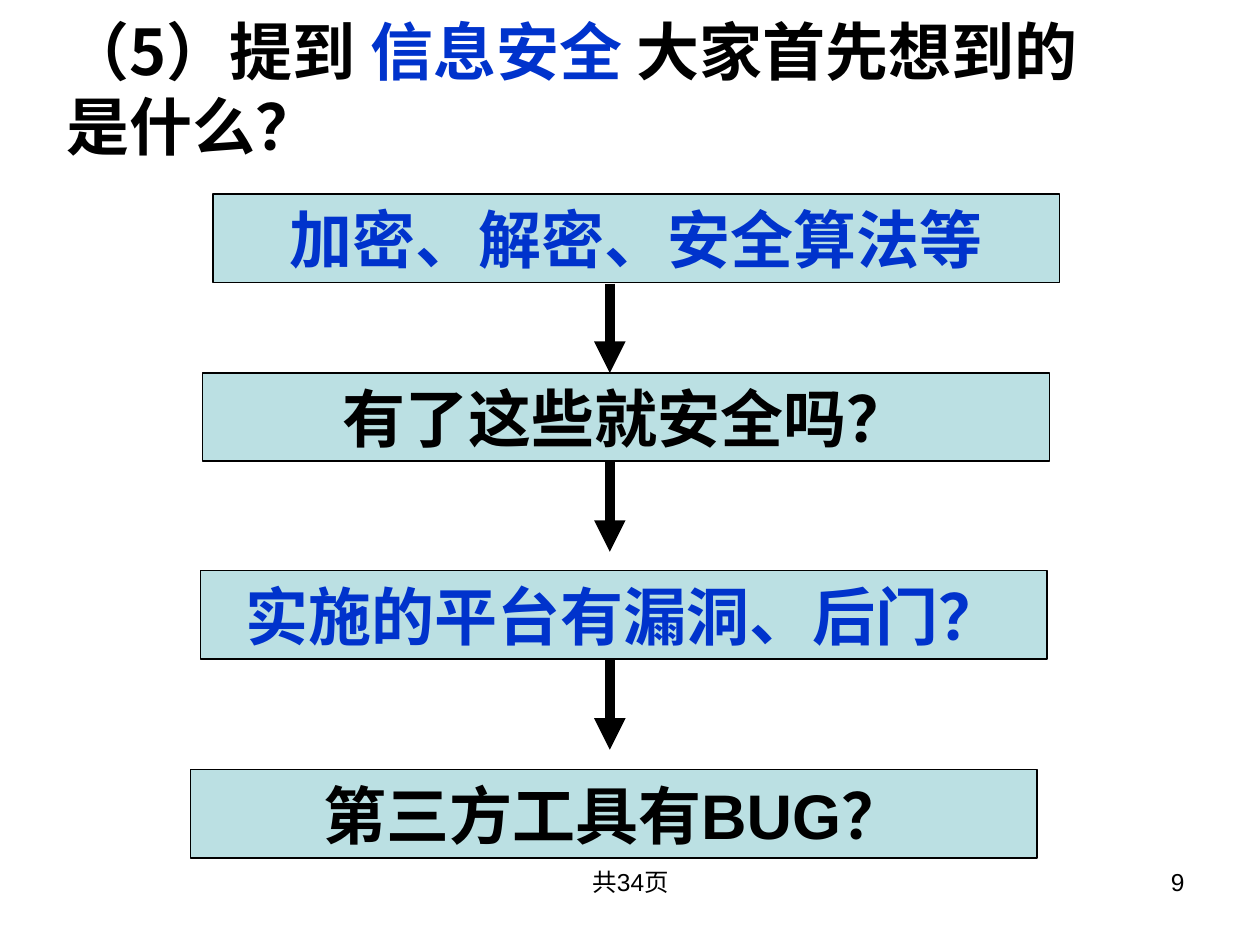
from lxml.etree import SubElement
from pptx import Presentation
from pptx.dml.color import RGBColor
from pptx.enum.shapes import MSO_CONNECTOR, MSO_SHAPE
from pptx.enum.text import MSO_ANCHOR, MSO_AUTO_SIZE, PP_ALIGN
from pptx.oxml.ns import qn
from pptx.util import Inches, Pt

BLACK = RGBColor(0x00, 0x00, 0x00)
BLUE = RGBColor(0x00, 0x33, 0xCC)
PALE_TEAL = RGBColor(0xBB, 0xE0, 0xE3)
LATIN_FONT = "Arial"
CHINESE_FONT = "Noto Sans CJK SC"

TITLE_PARTS = [("（5）提到 ", BLACK), ("信息安全 ", BLUE), ("大家首先想到的是什么？", BLACK)]
STEPS = [
    ("加密、解密、安全算法等", BLUE, 1.69, 1.54),
    ("有了这些就安全吗？", BLACK, 1.61, 2.96),
    ("实施的平台有漏洞、后门？", BLUE, 1.59, 4.53),
    ("第三方工具有BUG？", BLACK, 1.51, 6.11),
]
STEP_WIDTH, STEP_HEIGHT = 6.72, 0.7
ARROW_X, ARROW_LENGTH = 4.84, 0.71


def add_span(para, text, color, **formats):
    span = para.add_run()
    span.text = text
    settings = {"name": LATIN_FONT, "size": Pt(36), "bold": True} | formats
    for name, value in settings.items():
        setattr(span.font, name, value)
    span.font.color.rgb = color
    SubElement(span.font._element, qn("a:ea")).set("typeface", CHINESE_FONT)


def set_frame(frame, anchor):
    settings = {"word_wrap": True, "auto_size": MSO_AUTO_SIZE.NONE, "vertical_anchor": anchor}
    for name, value in settings.items():
        setattr(frame, name, value)
    return frame.paragraphs[0]


def add_title(page, left, top, width, height):
    title = page.shapes.title
    bounds = {"left": left, "top": top, "width": width, "height": height}
    for name, value in bounds.items():
        setattr(title, name, Inches(value))
    para = set_frame(title.text_frame, MSO_ANCHOR.MIDDLE)
    para.alignment = PP_ALIGN.LEFT
    para.line_spacing = Pt(43)
    for text, color in TITLE_PARTS:
        add_span(para, text, color, name=CHINESE_FONT)


def add_step(page, text, color, left, top, width, height):
    box = page.shapes.add_shape(
        MSO_SHAPE.RECTANGLE, Inches(left), Inches(top), Inches(width), Inches(height))
    box.shadow.inherit = False
    box.fill.solid()
    box.fill.fore_color.rgb = PALE_TEAL
    box.line.color.rgb = BLACK
    box.line.width = Pt(0.75)
    para = set_frame(box.text_frame, MSO_ANCHOR.MIDDLE)
    para.alignment = PP_ALIGN.CENTER
    add_span(para, text, color)


def add_down_arrow(page, x, top, length):
    arrow = page.shapes.add_connector(
        MSO_CONNECTOR.STRAIGHT, Inches(x), Inches(top), Inches(x), Inches(top + length))
    arrow.line.color.rgb = BLACK
    arrow.line.width = Pt(6)
    SubElement(arrow.line._get_or_add_ln(), qn("a:tailEnd")).set("type", "triangle")
    SubElement(arrow._element.spPr, qn("a:effectLst"))


def add_flow(page):
    for text, color, left, top in STEPS:
        add_step(page, text, color, left, top, STEP_WIDTH, STEP_HEIGHT)
    for _, _, _, top in STEPS[:-1]:
        add_down_arrow(page, ARROW_X, top + STEP_HEIGHT + 0.01, ARROW_LENGTH)


def add_footer(page, text, alignment, left, top, width, height):
    box = page.shapes.add_textbox(Inches(left), Inches(top), Inches(width), Inches(height))
    para = set_frame(box.text_frame, MSO_ANCHOR.TOP)
    para.alignment = alignment
    add_span(para, text, BLACK, size=Pt(14), bold=False)


def main():
    deck = Presentation()
    deck.slide_width, deck.slide_height = Inches(10), Inches(7.5)
    page = deck.slides.add_slide(deck.slide_layouts[5])
    add_title(page, 0.43, 0.05, 8.27, 1.3)
    add_flow(page)
    add_footer(page, "共34页", PP_ALIGN.CENTER, 3.42, 6.83, 3.17, 0.52)
    add_footer(page, "9", PP_ALIGN.RIGHT, 7.17, 6.83, 2.33, 0.52)
    deck.save("out.pptx")


if __name__ == "__main__":
    main()
